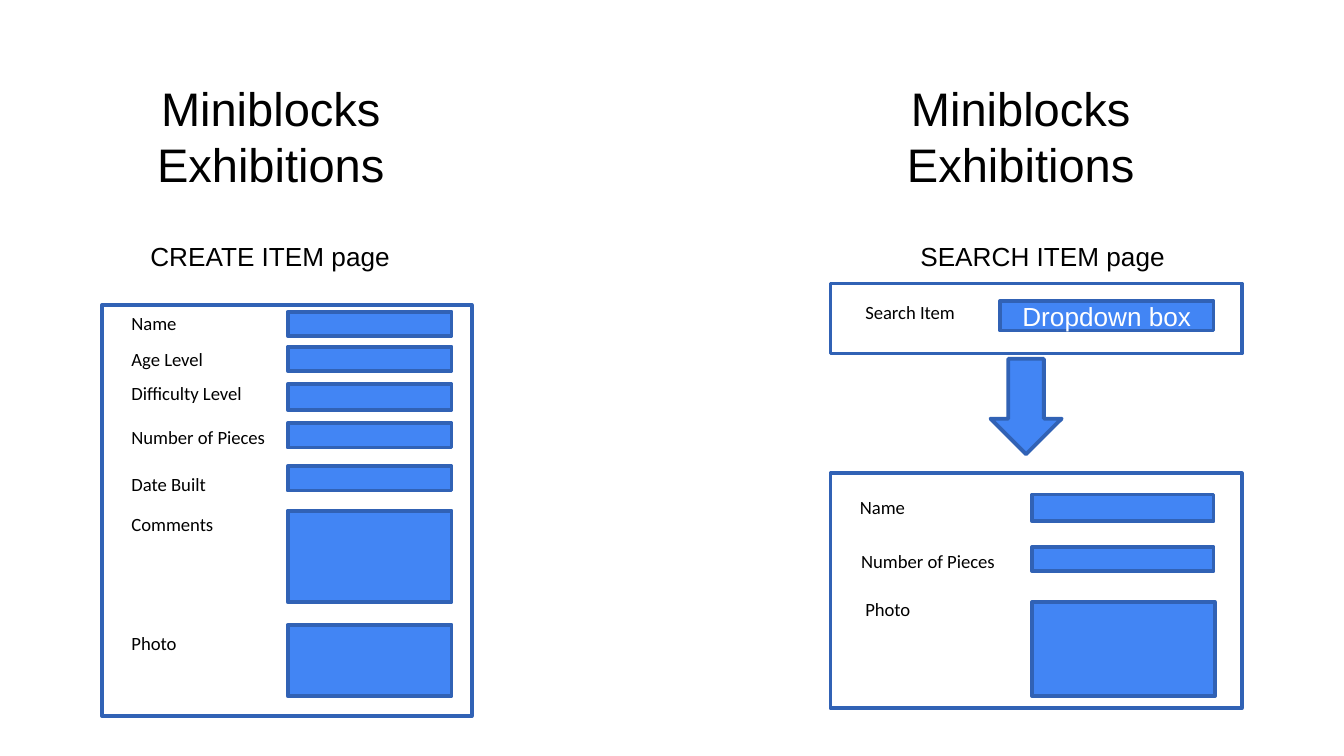
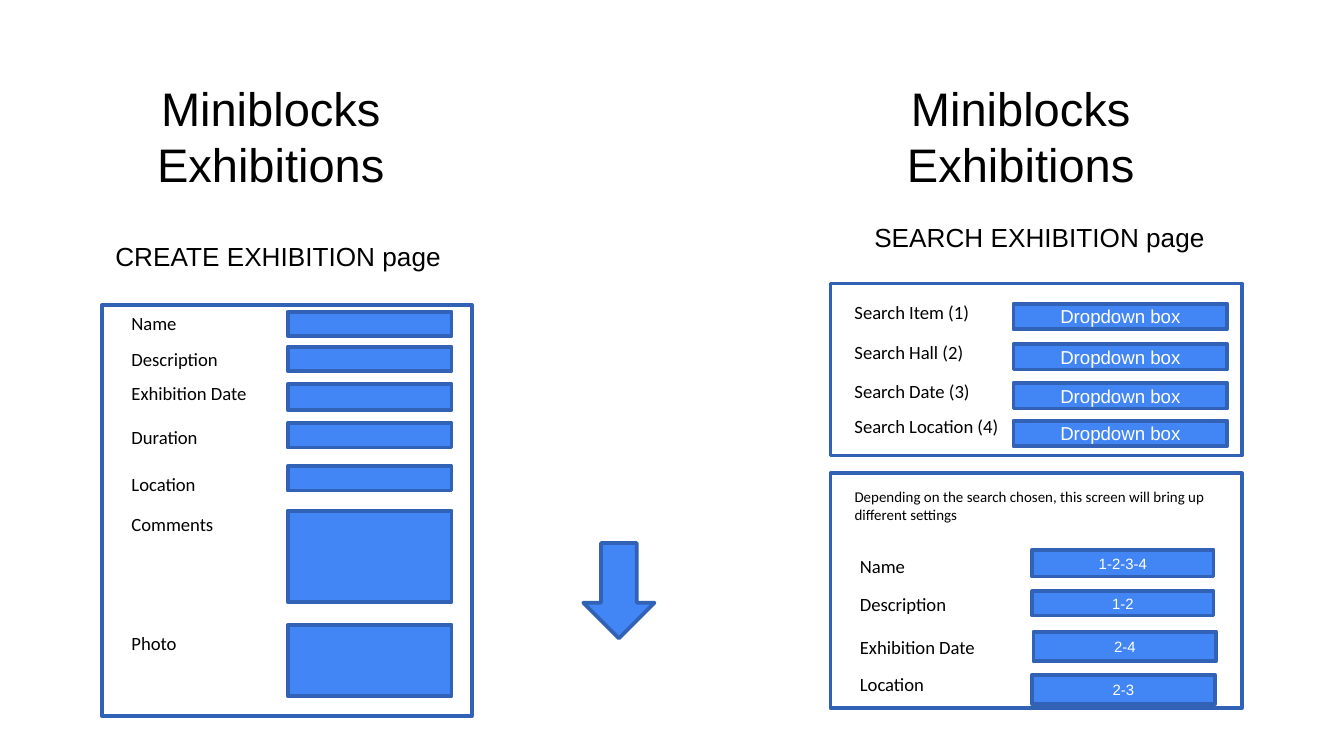
from dataclasses import dataclass
from typing import Any, NamedTuple

from pptx import Presentation
from pptx import util as u
from pptx.dml import color
from pptx.enum import shapes, text


class Box(NamedTuple):
    left: float
    top: float
    width: float
    height: float


@dataclass(frozen=True)
class Theme:
    ink: str = "000000"
    paper: str = "FFFFFF"
    field: str = "4285F4"
    outline: str = "3162B5"
    outline_width: float = 2
    heading_font: str = "Arial"
    label_font: str = "Calibri"
    title_size: float = 25.2
    subtitle_size: float = 14
    label_size: float = 10
    note_size: float = 8


@dataclass(frozen=True)
class Row:
    label: str
    label_box: Box
    field_box: Box
    field_text: str = ""
    field_size: float = 10


@dataclass(frozen=True)
class Panel:
    box: Box
    rows: tuple[Row, ...]
    grouped: bool = True
    note: str = ""


@dataclass(frozen=True)
class Page:
    subtitle: str
    subtitle_box: Box
    centred: bool = False


@dataclass(frozen=True)
class Wireframe:
    pages: tuple[Page, Page]
    panels: tuple[Panel, ...]
    arrow: Box


THEME = Theme()
SLIDE_WIDTH = u.Inches(10)
SLIDE_HEIGHT = SLIDE_WIDTH * 9 // 16
HEADING = "Miniblocks Exhibitions"
HEADING_BOXES = (Box(1.05, 0.49, 1.93, 1), Box(6.63, 0.49, 1.93, 1))
HEADING_FORMAT = {
    "margin_left": u.Inches(0.1),
    "margin_right": u.Inches(0.1),
    "margin_top": u.Inches(0.1),
    "margin_bottom": u.Inches(0.1),
    "vertical_anchor": text.MSO_ANCHOR.TOP,
    "auto_size": text.MSO_AUTO_SIZE.NONE,
    "word_wrap": True,
}
CENTRE = text.PP_ALIGN.CENTER
LEFT = text.PP_ALIGN.LEFT
LABEL_HEIGHT = 0.27
NOTE_BOX = Box(6.26, 3.58, 2.88, 0.37)
RESULT_BOX = Box(6.18, 3.52, 3.06, 1.75)
CREATE_BOX = Box(0.76, 2.27, 2.75, 3.06)
CREATE_LABEL_TOPS = (2.27, 2.54, 2.79, 3.12, 3.47, 3.77, 4.65)
CREATE_FIELDS = (
    (2.32, 0.18), (2.58, 0.18), (2.86, 0.19), (3.15, 0.18),
    (3.47, 0.18), (3.8, 0.68), (4.65, 0.53),
)


def label_box(left: float, top: float, width: float = 1.14) -> Box:
    return Box(left, top, width, LABEL_HEIGHT)


def create_panel(*labels: str) -> Panel:
    rows = tuple(
        Row(label, label_box(0.88, label_top, 1.32), Box(2.14, top, 1.22, height))
        for label, label_top, (top, height)
        in zip(labels, CREATE_LABEL_TOPS, CREATE_FIELDS)
    )
    return Panel(CREATE_BOX, rows)


def search_row(label: str, label_top: float, field_top: float) -> Row:
    return Row(label, label_box(6.26, label_top, 1.37),
               Box(7.54, field_top, 1.59, 0.19), "Dropdown box", THEME.label_size)


def result_row(label: str, label_top: float, field: Box, searches: str) -> Row:
    return Row(label, label_box(6.3, label_top, 1.33), field, searches, THEME.note_size)


WIREFRAMES = (
    Wireframe(
        pages=(
            Page("CREATE ITEM page", Box(1.02, 1.74, 2.33, 0.34)),
            Page("SEARCH ITEM page", Box(6.75, 1.74, 2.54, 0.34)),
        ),
        panels=(
            create_panel("Name", "Age Level", "Difficulty Level", "Number of Pieces",
                         "Date Built", "Comments", "Photo"),
            Panel(Box(6.18, 2.11, 3.06, 0.52), (
                Row("Search Item", label_box(6.34, 2.19), Box(7.44, 2.24, 1.59, 0.22),
                    "Dropdown box", THEME.subtitle_size),
            )),
            Panel(RESULT_BOX, (
                Row("Name", label_box(6.3, 3.64), Box(7.68, 3.68, 1.35, 0.2)),
                Row("Number of Pieces", label_box(6.31, 4.04, 1.33),
                    Box(7.68, 4.07, 1.35, 0.18)),
                Row("Photo", label_box(6.34, 4.4), Box(7.68, 4.48, 1.36, 0.7)),
            )),
        ),
        arrow=Box(7.37, 2.67, 0.53, 0.71),
    ),
    Wireframe(
        pages=(
            Page("CREATE EXHIBITION page", Box(0.76, 1.74, 2.75, 0.34)),
            Page("SEARCH EXHIBITION page", Box(6.18, 1.6, 3.11, 0.34), True),
        ),
        panels=(
            create_panel("Name", "Description", "Exhibition Date", "Duration",
                         "Location", "Comments", "Photo"),
            Panel(Box(6.18, 2.11, 3.06, 1.28), (
                search_row("Search Item (1)", 2.19, 2.26),
                search_row("Search Hall (2)", 2.49, 2.56),
                search_row("Search Date (3)", 2.78, 2.85),
                search_row("Search Location (4)", 3.04, 3.13),
            ), grouped=False),
            Panel(RESULT_BOX, (
                result_row("Name", 4.08, Box(7.68, 4.09, 1.35, 0.2), "1-2-3-4"),
                result_row("Description", 4.36, Box(7.68, 4.4, 1.35, 0.18), "1-2"),
                result_row("Exhibition Date", 4.68, Box(7.69, 4.7, 1.36, 0.22), "2-4"),
                result_row("Location", 4.96, Box(7.68, 5.02, 1.36, 0.22), "2-3"),
            ), grouped=False,
                note="Depending on the search chosen, this screen will bring up "
                     "different settings"),
        ),
        arrow=Box(4.34, 4.04, 0.53, 0.71),
    ),
)


def inches(box: Box) -> tuple[u.Length, ...]:
    return tuple(u.Inches(length) for length in box)


def apply_format(target: Any, values: dict[str, Any]) -> None:
    for attribute, value in values.items():
        setattr(target, attribute, value)


def write(frame: Any, words: str, font: str, size: float, ink: str,
          align: text.PP_ALIGN) -> None:
    paragraph = frame.paragraphs[0]
    paragraph.alignment = align
    run = paragraph.add_run()
    run.text = words
    apply_format(run.font, {"name": font, "size": u.Pt(size)})
    run.font.color.rgb = color.RGBColor.from_string(ink)


def draw_heading(heading: Any, box: Box) -> None:
    apply_format(heading, dict(zip(("left", "top", "width", "height"), inches(box))))
    frame = heading.text_frame
    apply_format(frame, HEADING_FORMAT)
    write(frame, HEADING, THEME.heading_font, THEME.title_size, THEME.ink, CENTRE)
    apply_format(frame.paragraphs[0],
                 {"line_spacing": 1.0, "space_before": u.Pt(0)})


def draw_text(canvas: Any, box: Box, words: str, font: str, size: float,
              align: text.PP_ALIGN = LEFT) -> None:
    frame = canvas.add_textbox(*inches(box)).text_frame
    apply_format(frame, {"word_wrap": True,
                         "auto_size": text.MSO_AUTO_SIZE.SHAPE_TO_FIT_TEXT})
    write(frame, words, font, size, THEME.ink, align)


def draw_outline(canvas: Any, box: Box, fill: str,
                 preset: shapes.MSO_SHAPE = shapes.MSO_SHAPE.RECTANGLE) -> Any:
    outline = canvas.add_shape(preset, *inches(box))
    outline.shadow.inherit = False
    outline.fill.solid()
    outline.fill.fore_color.rgb = color.RGBColor.from_string(fill)
    outline.line.color.rgb = color.RGBColor.from_string(THEME.outline)
    outline.line.width = u.Pt(THEME.outline_width)
    return outline


def draw_row(canvas: Any, row: Row) -> None:
    field = draw_outline(canvas, row.field_box, THEME.field)
    if row.field_text:
        frame = field.text_frame
        apply_format(frame, {"word_wrap": True,
                             "vertical_anchor": text.MSO_ANCHOR.MIDDLE})
        write(frame, row.field_text, THEME.heading_font, row.field_size,
              THEME.paper, CENTRE)
    draw_text(canvas, row.label_box, row.label, THEME.label_font, THEME.label_size)


def draw_panel(slide: Any, panel: Panel) -> None:
    canvas = slide.shapes.add_group_shape().shapes if panel.grouped else slide.shapes
    draw_outline(canvas, panel.box, THEME.paper)
    for row in panel.rows:
        draw_row(canvas, row)
    if panel.note:
        draw_text(canvas, NOTE_BOX, panel.note, THEME.label_font, THEME.note_size)


def draw_wireframe(deck: Any, wireframe: Wireframe) -> None:
    slide = deck.slides.add_slide(deck.slide_layouts[5])
    search_heading = slide.shapes.add_textbox(*inches(HEADING_BOXES[1]))
    for heading, box in zip((slide.shapes.title, search_heading), HEADING_BOXES):
        draw_heading(heading, box)
    for page in wireframe.pages:
        draw_text(slide.shapes, page.subtitle_box, page.subtitle, THEME.heading_font,
                  THEME.subtitle_size, CENTRE if page.centred else LEFT)
    for panel in wireframe.panels:
        draw_panel(slide, panel)
    draw_outline(slide.shapes, wireframe.arrow, THEME.field, shapes.MSO_SHAPE.DOWN_ARROW)


def main() -> None:
    deck = Presentation()
    apply_format(deck, {"slide_width": SLIDE_WIDTH, "slide_height": SLIDE_HEIGHT})
    for wireframe in WIREFRAMES:
        draw_wireframe(deck, wireframe)
    deck.save("out.pptx")


if __name__ == "__main__":
    main()
